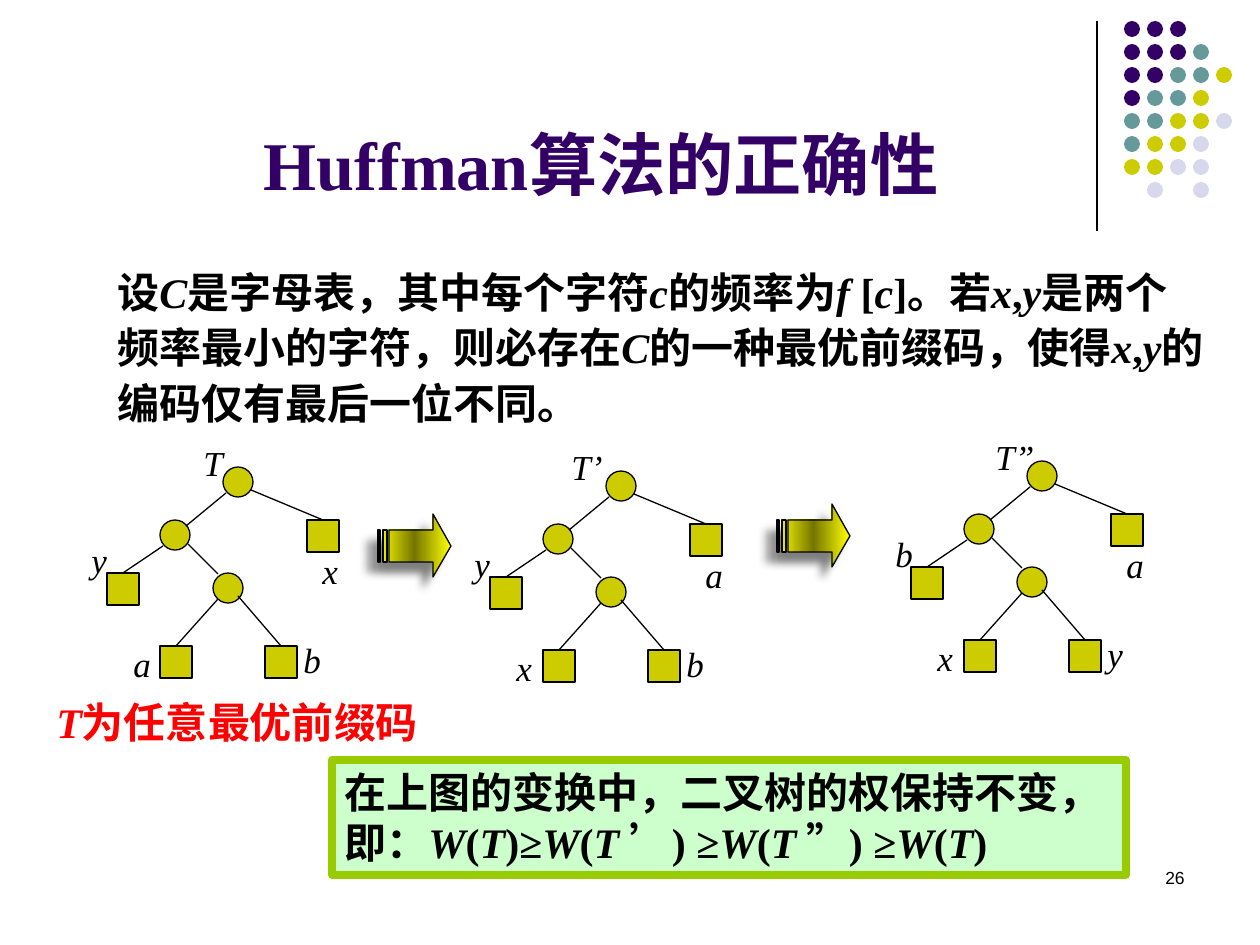
from pptx import Presentation
from pptx.dml.color import RGBColor
from pptx.enum.shapes import MSO_CONNECTOR, MSO_SHAPE
from pptx.enum.text import MSO_ANCHOR, PP_ALIGN
from pptx.oxml import parse_xml
from pptx.oxml.ns import nsdecls
from pptx.util import Pt

PX = 914400 / 126
STRAIGHT = MSO_CONNECTOR.STRAIGHT
OVAL, RECT = MSO_SHAPE.OVAL, MSO_SHAPE.RECTANGLE
LEFT, CENTER, RIGHT = PP_ALIGN.LEFT, PP_ALIGN.CENTER, PP_ALIGN.RIGHT
TOP, BOTTOM = MSO_ANCHOR.TOP, MSO_ANCHOR.BOTTOM
C = {"black": "000000", "purple": "330066", "teal": "669999",
     "olive": "CCCC00", "lavender": "D8D8EC", "red": "FF0000",
     "mint": "CCFFCC", "green": "99CC00"}

prs = Presentation()
prs.slide_width, prs.slide_height = round(1260 * PX), round(945 * PX)
shapes = prs.slides.add_slide(prs.slide_layouts[6]).shapes


def add_item(kind, box, fill=None, line=None, width=0.75):
    """Add a preset shape, a text box (kind None) or a line (box is x1, y1, x2, y2)."""
    emu = [round(v * PX) for v in box]
    if kind is None:
        return shapes.add_textbox(*emu)
    if kind is STRAIGHT:  # identity, as STRAIGHT and RECT share one integer value
        s = shapes.add_connector(kind, *emu)
        s._element.spPr.append(parse_xml(f"<a:effectLst {nsdecls('a')}/>"))
    else:
        s = shapes.add_shape(kind, *emu)
        s.shadow.inherit = False
        s.fill.solid()
        s.fill.fore_color.rgb = RGBColor.from_string(C[fill])
    if line:
        s.line.color.rgb = RGBColor.from_string(C[line])
        s.line.width = Pt(width)
    else:
        s.line.fill.background()
    return s


def write(s, text, size, color="black", bold=False, align=LEFT,
          anchor=TOP, font="Times New Roman", spacing=None):
    """Fill a shape with one paragraph; parts between asterisks are italic."""
    tf = s.text_frame
    tf.word_wrap = True
    tf.vertical_anchor = anchor
    p = tf.paragraphs[0]
    p.alignment = align
    p.line_spacing = spacing
    for i, part in enumerate(text.split("*")):
        if part:
            r = p.add_run()
            r.text = part
            r.font.name = font
            r.font.size = Pt(size)
            r.font.bold = bold
            r.font.italic = i % 2 == 1
            r.font.color.rgb = RGBColor.from_string(C[color])


# Corner decoration
add_item(STRAIGHT, (1097, 21, 1097, 231), line="black")
DOT_COLORS = {"p": "purple", "t": "teal", "o": "olive", "l": "lavender"}
DOT_ROWS = ["ppp", "pppt", "pptto", "ptto", "ttool", "tool", "ooll", " l l"]
for row, dots in enumerate(DOT_ROWS):
    for col, dot in enumerate(dots):
        if dot != " ":
            add_item(OVAL, (1124 + 23 * col, 21 + 23 * row, 16, 16), DOT_COLORS[dot])

# Title and theorem
write(add_item(None, (95, 76, 1012, 134)), "Huffman算法的正确性", 39,
      "purple", True, CENTER, BOTTOM)
write(add_item(None, (105, 255, 1113, 180)),
      "设*C*是字母表，其中每个字符*c*的频率为*f *[*c*]。若*x*,*y*是两个频率最小的字符，"
      "则必存在*C*的一种最优前缀码，使得*x*,*y*的编码仅有最后一位不同。",
      24, bold=True, spacing=1.1)

# Trees, with every offset measured from the root's corner
NODES = [(0, 0), (-63, 53), (-10, 106)]
LEAVES = [(-116, 106), (-63, 179), (42, 179), (84, 53)]
INNER_EDGES = [(3, 26, -37, 59), (-35, 77, -5, 107)]
LEAF_EDGE_STARTS = [(-60, 79), (-5, 132), (15, 129), (28, 23)]
LABELS = [(-144, 65), (-102, 169), (68, 165), (87, 76)]
TREES = [
    (223, 467, "T", -32, "yabx"),
    (606, 471, "T’", -47, "yxba"),
    (1027, 461, "T”", -44, "bxya"),
]
for x, y, name, name_dx, letters in TREES:
    for dx, dy in NODES:
        add_item(OVAL, (x + dx, y + dy, 30, 30), "olive", "black")
    for x1, y1, x2, y2 in INNER_EDGES:
        add_item(STRAIGHT, (x + x1, y + y1, x + x2, y + y2), line="black")
    for (dx, dy), (sx, sy), (lx, ly), letter in zip(
            LEAVES, LEAF_EDGE_STARTS, LABELS, letters):
        leaf = add_item(RECT, (x + dx, y + dy, 32, 32), "olive", "black")
        edge = add_item(STRAIGHT, (x + sx, y + sy, x + dx + 16, y + dy), line="black")
        edge.end_connect(leaf, 0)
        write(add_item(None, (x + lx, y + ly, 53, 54)), f"*{letter}*", 20)
    write(add_item(None, (x + name_dx, y - 32, 105, 54)), f"*{name}*", 20)

# Striped arrows between the trees
ARROW_HEAD = [(55, 0), (55, 16), (11, 16), (11, 48), (55, 48), (55, 63), (73, 32)]
STRIPES = [(5, 9), (0, 2)]
GRADIENT = f"""<a:gradFill {nsdecls('a')} rotWithShape="1"><a:gsLst>
<a:gs pos="0"><a:srgbClr val="FFFF00"/></a:gs>
<a:gs pos="50000"><a:srgbClr val="767600"/></a:gs>
<a:gs pos="100000"><a:srgbClr val="FFFF00"/></a:gs>
</a:gsLst><a:lin ang="0" scaled="1"/></a:gradFill>"""
SHADOW = f"""<a:effectLst {nsdecls('a')}>
<a:outerShdw blurRad="63500" dist="107950" dir="8100000" algn="ctr" rotWithShape="0">
<a:srgbClr val="808080"/></a:outerShdw></a:effectLst>"""
for x, y in [(378, 514), (777, 504)]:
    builder = shapes.build_freeform(*ARROW_HEAD[0], scale=PX)
    builder.add_line_segments(ARROW_HEAD[1:], close=True)
    for left, right in STRIPES:
        builder.move_to(left, 16)
        builder.add_line_segments([(left, 48), (right, 48), (right, 16)], close=True)
    s = builder.convert_to_shape(round(x * PX), round(y * PX))
    s.line.color.rgb = RGBColor.from_string(C["black"])
    s.line.width = Pt(0.75)
    spPr = s._element.spPr
    spPr.insert(2, parse_xml(GRADIENT))
    spPr.append(parse_xml(SHADOW))

# Conclusion, caption and page number
write(add_item(RECT, (332, 760, 794, 115), "mint", "green", 4.5),
      "在上图的变换中，二叉树的权保持不变，即：*W*(*T*)≥*W*(*T *’) ≥*W*(*T *”) ≥*W*(*T*)",
      24, bold=True)
write(add_item(None, (44, 690, 417, 64)), "*T*为任意最优前缀码", 24, "red", True)
write(add_item(None, (903, 861, 294, 63)), "26", 10, align=RIGHT, font="Arial")

prs.save("out.pptx")
